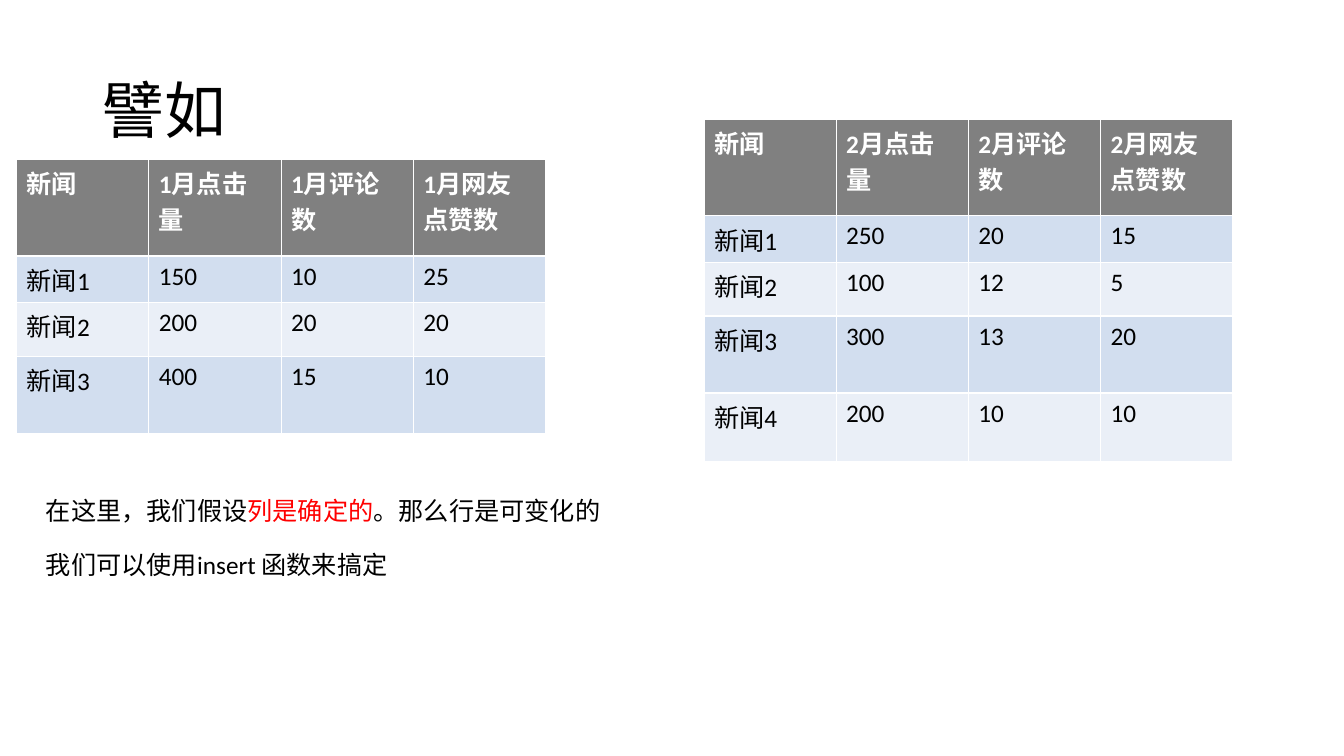
from pptx import Presentation
from pptx import util as u
from pptx.dml.color import RGBColor
from pptx.enum import text

FONT = "Calibri"
ROW_HEIGHTS = [2.44, 1.14, 1.35, 1.94, 1.72]
JANUARY = [["150", "10", "25"], ["200", "20", "20"], ["400", "15", "10"]]
FEBRUARY = [["250", "20", "15"], ["100", "12", "5"], ["300", "13", "20"], ["200", "10", "10"]]
EXPLANATION = [
    [("在这里，我们假设", "000000"), ("列是确定的", "FF0000"), ("。那么行是可变化的", "000000")],
    [("我们可以使用insert 函数来搞定", "000000")],
]


def colour(value):
    """Return the colour for a hex string."""
    return RGBColor.from_string(value)


def style(paragraph, size, value, bold=False):
    """Set the font of a whole paragraph."""
    font = paragraph.font
    font.name, font.size, font.bold = FONT, u.Pt(size), bold
    font.color.rgb = colour(value)


def add_heading(slide, left, top, width, height):
    """Place and format the title."""
    heading = slide.shapes.title
    heading.left, heading.top = u.Cm(left), u.Cm(top)
    heading.width, heading.height = u.Cm(width), u.Cm(height)
    heading.text_frame.vertical_anchor = text.MSO_ANCHOR.MIDDLE
    line = heading.text_frame.paragraphs[0]
    line.text = "譬如"
    line.alignment = text.PP_ALIGN.LEFT
    line.line_spacing = 0.9
    style(line, 44, "000000")


def add_news_table(slide, month, counts, left, top, width):
    """Draw one month of news figures under a grey header."""
    header = ["新闻"] + [f"{month}月{measure}" for measure in ("点击量", "评论数", "网友点赞数")]
    rows = [header] + [[f"新闻{number}", *values] for number, values in enumerate(counts, 1)]
    heights = ROW_HEIGHTS[:len(rows)]
    news = slide.shapes.add_table(len(rows), len(header), u.Cm(left), u.Cm(top),
                                  u.Cm(width), u.Cm(sum(heights))).table
    for column in news.columns:
        column.width = u.Cm(width / len(header))
    for r, values in enumerate(rows):
        news.rows[r].height = u.Cm(heights[r])
        fill = "808080" if r == 0 else ("EAEFF7", "D2DEEF")[r % 2]
        for c, value in enumerate(values):
            cell = news.cell(r, c)
            cell.text = value
            cell.fill.solid()
            cell.fill.fore_color.rgb = colour(fill)
            style(cell.text_frame.paragraphs[0], 18, "000000" if r else "FFFFFF", r == 0)


def add_explanation(slide, left, top, width, height):
    """Write the remarks below the tables."""
    frame = slide.shapes.add_textbox(u.Cm(left), u.Cm(top), u.Cm(width), u.Cm(height)).text_frame
    frame.word_wrap = True
    for index, parts in enumerate(EXPLANATION):
        remark = frame.add_paragraph() if index else frame.paragraphs[0]
        if index:
            remark.space_before = u.Pt(17)
        style(remark, 18, "000000")
        for words, value in parts:
            run = remark.add_run()
            run.text = words
            run.font.color.rgb = colour(value)


def main():
    """Build the slide and save it."""
    deck = Presentation()
    deck.slide_width, deck.slide_height = u.Cm(33.87), u.Cm(19.05)
    slide = deck.slides.add_slide(deck.slide_layouts.get_by_name("Title Only"))
    add_heading(slide, 2.33, 1.01, 29.21, 3.68)
    add_news_table(slide, 1, JANUARY, 0.42, 4.01, 13.33)
    add_news_table(slide, 2, FEBRUARY, 17.74, 3, 13.33)
    add_explanation(slide, 0.91, 12.35, 27.63, 2.57)
    deck.save("out.pptx")


if __name__ == "__main__":
    main()
